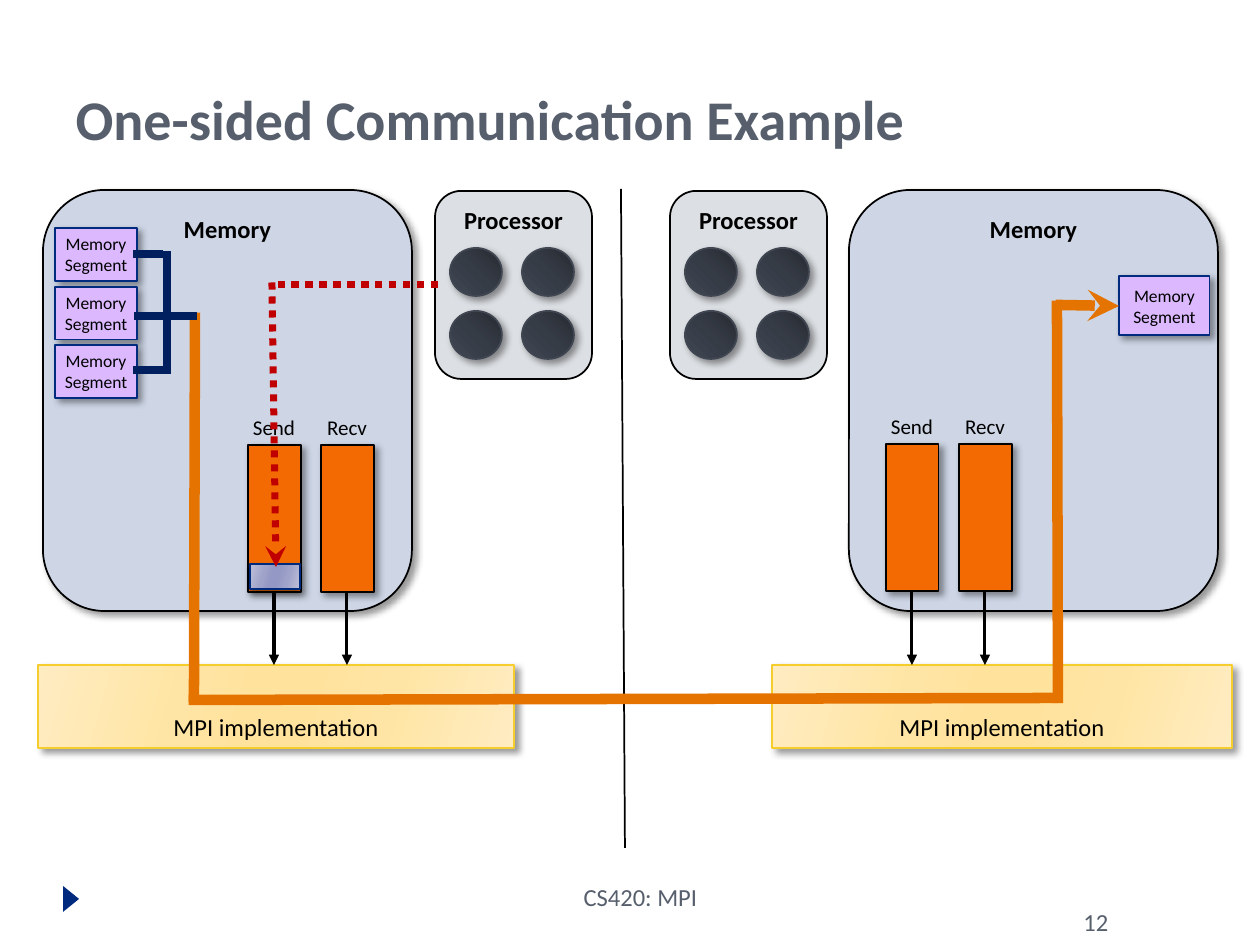
from dataclasses import dataclass

import lxml.etree
import pptx
import pptx.dml.color
import pptx.enum.dml
import pptx.enum.shapes
import pptx.enum.text
import pptx.oxml
import pptx.oxml.ns
import pptx.util

RGBColor = pptx.dml.color.RGBColor
Shape = pptx.enum.shapes.MSO_SHAPE
Anchor = pptx.enum.text.MSO_ANCHOR
Align = pptx.enum.text.PP_ALIGN
qn = pptx.oxml.ns.qn

BLACK = RGBColor(0x00, 0x00, 0x00)
SLATE = RGBColor(0x57, 0x5F, 0x6D)
NAVY = RGBColor(0x00, 0x2A, 0x7E)
DARK_NAVY = RGBColor(0x00, 0x1F, 0x5E)
MEMORY_BLUE = RGBColor(0xCE, 0xD6, 0xE6)
PROCESSOR_GREY = RGBColor(0xDC, 0xDF, 0xE3)
CORE_EDGE = RGBColor(0x41, 0x47, 0x52)
QUEUE_ORANGE = RGBColor(0xF4, 0x6A, 0x02)
SEGMENT_LILAC = RGBColor(0xDC, 0xB9, 0xFF)
GOLD = RGBColor(0xF5, 0xCD, 0x2D)
PATH_ORANGE = RGBColor(0xE5, 0x73, 0x00)
RED = RGBColor(0xC0, 0x00, 0x00)

FONT = "Calibri"
PIXEL = 914400 // 126


@dataclass
class Gradient:
    stops: list[tuple[int, str]]
    angle: int


def sheen(outer: str, middle: str, inner: str) -> Gradient:
    return Gradient([(0, outer), (30, middle), (45, inner), (55, inner), (73, middle), (100, outer)], 16)


YELLOW_SHEEN = sheen("FFECC1", "FFE5A5", "FFE29B")
VIOLET_SHEEN = sheen("BEC0D8", "9FA2C9", "9398C4")
CORE_SHADE = Gradient([(0, "262A31"), (50, "363C46"), (100, "404753")], 135)


@dataclass
class Look:
    shape: Shape
    fill: RGBColor | Gradient
    edge: RGBColor
    width: float
    shadow: tuple[int, int, int] | None = (4, 3, 45)  # blur, distance, angle
    size: int = 14
    bold: bool = False
    anchor: Anchor = Anchor.TOP


MEMORY = Look(Shape.ROUNDED_RECTANGLE, MEMORY_BLUE, BLACK, 1, bold=True)
PROCESSOR = Look(Shape.ROUNDED_RECTANGLE, PROCESSOR_GREY, BLACK, 1, None, bold=True)
CORE = Look(Shape.OVAL, CORE_SHADE, CORE_EDGE, 1)
LIBRARY = Look(Shape.RECTANGLE, YELLOW_SHEEN, GOLD, 0.75, anchor=Anchor.BOTTOM)
QUEUE = Look(Shape.RECTANGLE, QUEUE_ORANGE, BLACK, 0.75)
SEGMENT = Look(Shape.RECTANGLE, SEGMENT_LILAC, NAVY, 0.75, size=10, anchor=Anchor.MIDDLE)
MESSAGE = Look(Shape.RECTANGLE, VIOLET_SHEEN, NAVY, 0.75, (3, 2, 90))
MARKER = Look(Shape.ISOSCELES_TRIANGLE, NAVY, NAVY, 0, None)


@dataclass
class Node:
    memory_left: int
    processor_left: int
    library_left: int
    library_width: int
    queue_lefts: tuple[int, int]
    queue_top: int


@dataclass
class Stroke:
    start: tuple[int, int]
    end: tuple[int, int]
    color: RGBColor
    width: float
    head: str | None = None
    dotted: bool = False


def px(value: float) -> int:
    return round(value * PIXEL)


def write(frame, text: str, size: int, color: RGBColor, bold: bool = False, align: Align = Align.CENTER) -> None:
    for index, line in enumerate(text.split("\n")):
        para = frame.paragraphs[0] if index == 0 else frame.add_paragraph()
        para.alignment = align
        span = para.add_run()
        span.text = line
        span.font.name, span.font.size, span.font.bold = FONT, pptx.util.Pt(size), bold
        span.font.color.rgb = color


def fill_gradient(box, gradient: Gradient) -> None:
    box.fill.gradient()
    grad = box._element.spPr.find(qn("a:gradFill"))
    stops = grad.find(qn("a:gsLst"))
    for old in list(stops):
        stops.remove(old)
    for position, color in gradient.stops:
        stop = lxml.etree.SubElement(stops, qn("a:gs"), pos=str(position * 1000))
        lxml.etree.SubElement(stop, qn("a:srgbClr"), val=color)
    grad.find(qn("a:lin")).set("ang", str(gradient.angle * 60000))


def cast_shadow(box, blur: int, distance: int, angle: int) -> None:
    shadow = lxml.etree.SubElement(
        box._element.spPr.find(qn("a:effectLst")), qn("a:outerShdw"), blurRad=str(blur * 12700),
        dist=str(distance * 12700), dir=str(angle * 60000), algn="ctr", rotWithShape="0")
    color = lxml.etree.SubElement(shadow, qn("a:srgbClr"), val="000000")
    lxml.etree.SubElement(color, qn("a:alpha"), val="40000")


def draw_box(page, look: Look, left: int, top: int, width: int, height: int, text: str = ""):
    box = page.shapes.add_shape(look.shape, px(left), px(top), px(width), px(height))
    if isinstance(look.fill, Gradient):
        fill_gradient(box, look.fill)
    else:
        box.fill.solid()
        box.fill.fore_color.rgb = look.fill
    if look.width:
        box.line.color.rgb = look.edge
        box.line.width = pptx.util.Pt(look.width)
    else:
        box.line.fill.background()
    box.shadow.inherit = False
    if look.shadow:
        cast_shadow(box, *look.shadow)
    if text:
        box.text_frame.word_wrap = False
        box.text_frame.vertical_anchor = look.anchor
        write(box.text_frame, text, look.size, BLACK, look.bold)
    return box


def draw_label(page, text: str, left: int, top: int, width: int, height: int, size: int,
               color: RGBColor, wrap: bool, align: Align = Align.CENTER) -> None:
    box = page.shapes.add_textbox(px(left), px(top), px(width), px(height))
    box.text_frame.word_wrap = wrap
    write(box.text_frame, text, size, color, align=align)


def draw_stroke(page, stroke: Stroke) -> None:
    line = page.shapes.add_connector(pptx.enum.shapes.MSO_CONNECTOR.STRAIGHT,
                                     *map(px, stroke.start + stroke.end))
    line.line.color.rgb = stroke.color
    line.line.width = pptx.util.Pt(stroke.width)
    if stroke.dotted:
        line.line.dash_style = pptx.enum.dml.MSO_LINE.ROUND_DOT
        line._element.spPr.find(qn("a:ln")).find(qn("a:prstDash")).set("val", "sysDot")
    outline = line._element.spPr.find(qn("a:ln"))
    if stroke.width >= 4:
        outline.set("cap", "sq")
    if stroke.head:
        lxml.etree.SubElement(outline, qn("a:tailEnd"), type=stroke.head)
    lxml.etree.SubElement(line._element.spPr, qn("a:effectLst"))


def draw_node(page, node: Node) -> None:
    draw_box(page, LIBRARY, node.library_left, 665, node.library_width, 83, "MPI implementation")
    draw_box(page, MEMORY, node.memory_left, 190, 369, 421, "Memory")
    draw_box(page, PROCESSOR, node.processor_left, 191, 157, 188, "Processor")
    for index in range(4):
        row, column = divmod(index, 2)
        draw_box(page, CORE, node.processor_left + 15 + 72 * column, 248 + 63 * row, 52, 48)
    for name, left in zip(("Send", "Recv"), node.queue_lefts):
        draw_box(page, QUEUE, left, node.queue_top, 53, 147)
        draw_label(page, name, left - 8, node.queue_top - 37, 68, 38, 12, BLACK, False)
        draw_stroke(page, Stroke((left + 26, 591), (left + 26, 665), BLACK, 1.75, "triangle"))


deck = pptx.Presentation()
deck.slide_width, deck.slide_height = px(1260), px(945)
page = deck.slides.add_slide(deck.slide_layouts[5])

# Title
title = page.shapes.title
title.left, title.top, title.width, title.height = px(63), px(32), px(1134), px(126)
title.text_frame.auto_size = pptx.enum.text.MSO_AUTO_SIZE.NONE
title.text_frame.vertical_anchor = Anchor.BOTTOM
write(title.text_frame, "One-sided Communication Example", 32, SLATE, True, Align.LEFT)

# Two nodes and the divider between them
for node in (Node(43, 435, 38, 476, (248, 321), 445), Node(849, 670, 772, 460, (886, 959), 444)):
    draw_node(page, node)
draw_stroke(page, Stroke((621, 189), (625, 848), BLACK, 1))

# Memory segments and the queued message
draw_box(page, SEGMENT, 1119, 276, 91, 59, "Memory\nSegment")
for top in (228, 287, 345):
    draw_box(page, SEGMENT, 55, top, 82, 53, "Memory\nSegment")
draw_box(page, MESSAGE, 250, 564, 50, 25)

# Request, transfer path and segment bracket
for stroke in (
    Stroke((435, 285), (275, 285), RED, 4, dotted=True),
    Stroke((272, 286), (276, 567), RED, 4, "stealth", True),
    Stroke((195, 318), (194, 697), PATH_ORANGE, 6),
    Stroke((194, 700), (1053, 698), PATH_ORANGE, 6),
    Stroke((1058, 698), (1057, 306), PATH_ORANGE, 6),
    Stroke((1061, 305), (1119, 306), PATH_ORANGE, 6, "stealth"),
    Stroke((137, 254), (159, 254), DARK_NAVY, 5),
    Stroke((138, 316), (193, 316), DARK_NAVY, 5),
    Stroke((137, 370), (159, 370), DARK_NAVY, 5),
    Stroke((167, 255), (167, 370), DARK_NAVY, 5),
):
    draw_stroke(page, stroke)

# Footer
draw_box(page, MARKER, 58, 891, 26, 16).rotation = 90
draw_label(page, "12", 1071, 901, 136, 34, 14, SLATE, True, Align.LEFT)
draw_label(page, "CS420: MPI", 399, 876, 483, 50, 14, SLATE, True)

deck.save("out.pptx")
